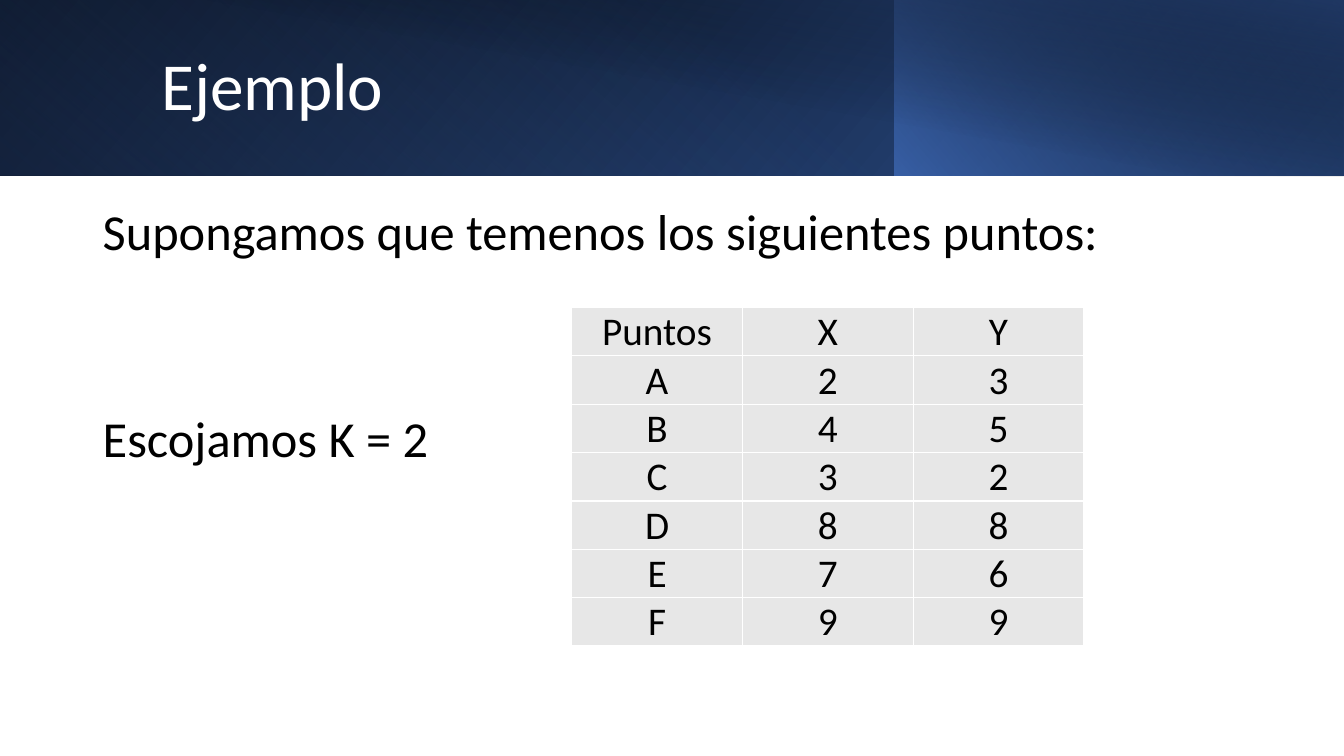
from lxml import etree
from pptx import Presentation
from pptx.dml.color import RGBColor
from pptx.enum.shapes import MSO_SHAPE as Preset
from pptx.enum.text import MSO_ANCHOR as Anchor, PP_ALIGN as Align
from pptx.oxml.ns import qn
from pptx.util import Inches, Pt

BLACK = RGBColor(0x00, 0x00, 0x00)
WHITE = RGBColor(0xFF, 0xFF, 0xFF)
BLUE = RGBColor(0x44, 0x72, 0xC4)
MID_BLUE = RGBColor(0x2F, 0x55, 0x97)
NAVY = RGBColor(0x20, 0x38, 0x64)
CELL_GRAY = RGBColor(0xE7, 0xE7, 0xE7)
FONT = "Calibri"

BANDS = [
    (0, 13.33, 1.74, 40, [(0, BLACK, 100), (100, MID_BLUE, 100)]),
    (0, 8.88, 1.74, 130, [(20, BLUE, 0), (100, NAVY, 55)]),
    (8.87, 4.46, 1.74, 320, [(0, BLUE, 66), (100, BLACK, 30)]),
    (0.5, 12.83, 1.75, 280, [(50, BLACK, 0), (99, NAVY, 52)]),
]
POINTS = [
    ("Puntos", "X", "Y"),
    ("A", "2", "3"),
    ("B", "4", "5"),
    ("C", "3", "2"),
    ("D", "8", "8"),
    ("E", "7", "6"),
    ("F", "9", "9"),
]


def add_color(parent, color, opacity=100):
    node = etree.SubElement(parent, qn("a:srgbClr"), val=str(color))
    if opacity < 100:
        etree.SubElement(node, qn("a:alpha"), val=str(opacity * 1000))


def add_band(slide, left, width, height, angle, stops):
    band = slide.shapes.add_shape(
        Preset.RECTANGLE, Inches(left), 0, Inches(width), Inches(height))
    band.shadow.inherit = False
    band.line.fill.background()
    gradient = etree.Element(qn("a:gradFill"), rotWithShape="1")
    stop_list = etree.SubElement(gradient, qn("a:gsLst"))
    for position, color, opacity in stops:
        stop = etree.SubElement(stop_list, qn("a:gs"), pos=str(position * 1000))
        add_color(stop, color, opacity)
    etree.SubElement(gradient, qn("a:lin"), ang=str(angle * 60000), scaled="0")
    band._element.spPr.find(qn("a:prstGeom")).addnext(gradient)


def style(para, size, color):
    para.font.name = FONT
    para.font.size = Pt(size)
    para.font.color.rgb = color


def place_title(slide, text):
    title = slide.shapes.title
    title.left, title.top = Inches(1.5), Inches(0.32)
    title.width, title.height = Inches(10.82), Inches(1.13)
    frame = title.text_frame
    frame.text = text
    frame.vertical_anchor = Anchor.MIDDLE
    para = frame.paragraphs[0]
    para.alignment = Align.LEFT
    para.line_spacing = 0.9
    style(para, 48, WHITE)
    slide.shapes._spTree.append(title._element)


def add_body(slide, first, second):
    box = slide.shapes.add_textbox(
        Inches(0.92), Inches(2), Inches(11.5), Inches(4.76))
    frame = box.text_frame
    frame.word_wrap = True
    frame.text = first
    frame.add_paragraph().text = second
    frame.paragraphs[1].space_before = Pt(109)
    for para in frame.paragraphs:
        para.line_spacing = 0.9
        style(para, 36, BLACK)


def set_borders(cell):
    properties = cell._tc.get_or_add_tcPr()
    for index, side in enumerate(("a:lnL", "a:lnR", "a:lnT", "a:lnB")):
        line = etree.Element(qn(side), w=str(Pt(1)))
        add_color(etree.SubElement(line, qn("a:solidFill")), WHITE)
        properties.insert(index, line)


def add_points_table(slide, rows):
    table = slide.shapes.add_table(
        len(rows), len(rows[0]), Inches(5.67), Inches(3.05),
        Inches(5.08), Inches(0.48 * len(rows))).table
    table.first_row = table.horz_banding = False
    for row_index, row in enumerate(rows):
        for column_index, text in enumerate(row):
            cell = table.cell(row_index, column_index)
            cell.text = text
            cell.vertical_anchor = Anchor.MIDDLE
            cell.margin_left = cell.margin_right = cell.margin_top = Inches(0.01)
            cell.margin_bottom = 0
            cell.fill.solid()
            cell.fill.fore_color.rgb = CELL_GRAY
            set_borders(cell)
            para = cell.text_frame.paragraphs[0]
            para.alignment = Align.CENTER
            style(para, 28, BLACK)


def main():
    deck = Presentation()
    deck.slide_width, deck.slide_height = Inches(13.33), Inches(7.5)
    slide = deck.slides.add_slide(deck.slide_layouts[5])
    for band in BANDS:
        add_band(slide, *band)
    place_title(slide, "Ejemplo")
    add_body(slide, "Supongamos que temenos los siguientes puntos:",
             "Escojamos K = 2")
    add_points_table(slide, POINTS)
    deck.save("out.pptx")


if __name__ == "__main__":
    main()
